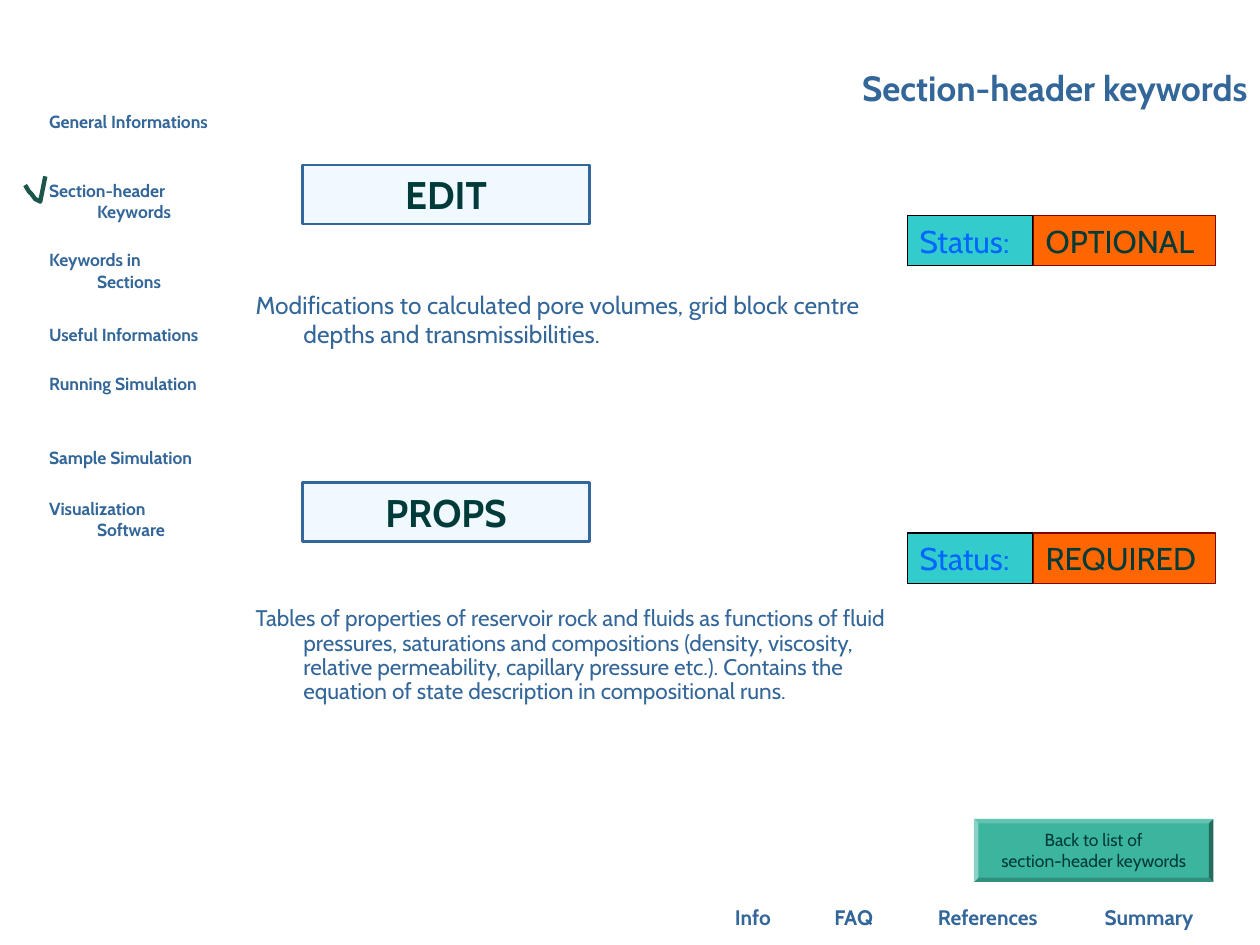
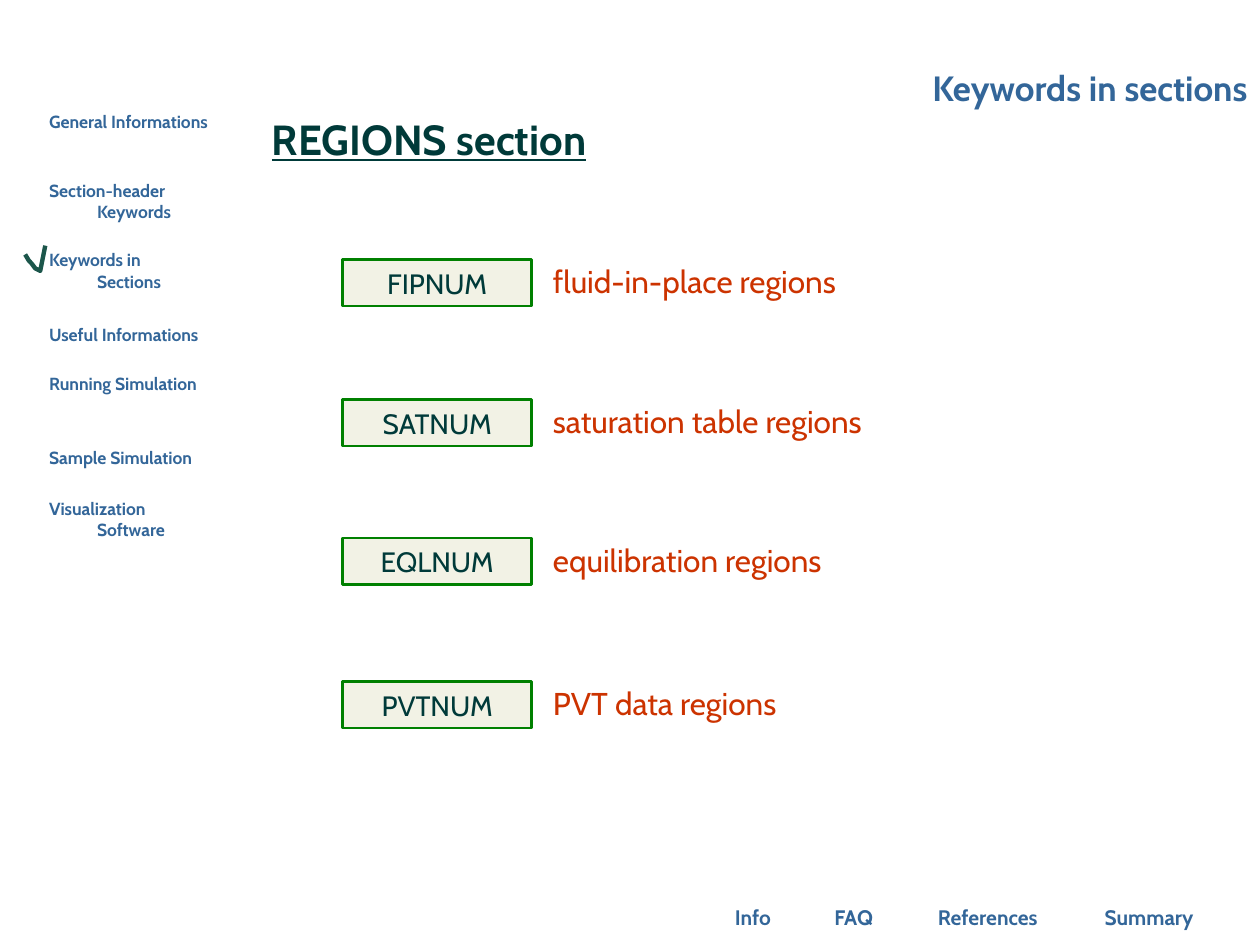
from dataclasses import dataclass

from lxml import etree
from pptx import Presentation
from pptx.dml.color import RGBColor
from pptx.enum.shapes import MSO_SHAPE
from pptx.enum.text import MSO_ANCHOR, PP_ALIGN
from pptx.oxml.ns import qn
from pptx.util import Inches, Pt

COLUMNS, ROWS = 100, 75
CELL = Inches(0.1)


@dataclass(frozen=True)
class Theme:
    font: str = "Cabin"
    blue: str = "336699"
    dark: str = "003A39"
    check: str = "1C564B"
    sky: str = "66CCFF"
    olive: str = "808000"
    green: str = "008000"
    rust: str = "CC3300"
    turquoise: str = "33CCCC"
    status_blue: str = "0066FF"
    orange: str = "FF6600"
    maroon: str = "800000"
    black: str = "000000"
    button: str = "3BB59E"
    small: float = 10
    footer: float = 12
    dense: float = 12.9
    body: float = 14
    label: float = 16
    status: float = 18
    title: float = 20
    keyword: float = 22
    heading: float = 24


THEME = Theme()

SIDEBAR = {
    "General Informations": (8.8, 13, 3.5),
    "Section-header Keywords": (14.3, 12.1, 3.3),
    "Keywords in Sections": (19.8, 12.5, 3.5),
    "Useful Informations": (25.7, 14.6, 2.4),
    "Running Simulation": (29.6, 13.4, 3.5),
    "Sample Simulation": (35.5, 13.4, 2),
    "Visualization Software": (39.5, 12.2, 3.5),
}
FOOTER = [("Info", 56.3, 6.9), ("FAQ", 64.8, 5.9), ("References", 72.7, 11.4), ("Summary", 86.1, 10.2)]
CHECK_OUTLINE = [(3.6, -0.3), (3.2, 1.7), (2.8, 1.5), (2.5, 1.1), (2.3, 0.9), (2, 0.4)]


def grid(*cells):
    return [round(cell * CELL) for cell in cells]


def write(shape, text, size, color, align=PP_ALIGN.LEFT, anchor=MSO_ANCHOR.TOP,
          bold=False, underline=False, hanging=False, spacing=None, inset=True):
    frame = shape.text_frame
    frame.word_wrap = True
    frame.vertical_anchor = anchor
    frame.margin_left = frame.margin_right = Inches(0.1 if inset else 0)
    frame.margin_top = frame.margin_bottom = Inches(0.05 if inset else 0)
    paragraph = frame.paragraphs[0]
    paragraph.text = text
    paragraph.alignment = align
    if spacing:
        paragraph.line_spacing = spacing
    if hanging:
        properties = paragraph._p.get_or_add_pPr()
        properties.set("marL", str(Inches(0.38)))
        properties.set("indent", str(-Inches(0.38)))
    font = paragraph.font
    font.name, font.size = THEME.font, Pt(size)
    font.bold, font.underline = bold, underline
    font.color.rgb = RGBColor.from_string(color)


def add_text(slide, place, text, size, color=THEME.blue, **style):
    write(slide.shapes.add_textbox(*grid(*place)), text, size, color, **style)


def add_box(slide, place, text, size, fill, line=None, width=0.75, opacity=None,
            color=THEME.dark, kind=MSO_SHAPE.RECTANGLE, **style):
    shape = slide.shapes.add_shape(kind, *grid(*place))
    shape.shadow.inherit = False
    shape.fill.solid()
    shape.fill.fore_color.rgb = RGBColor.from_string(fill)
    if opacity:
        color_element = shape._element.spPr.find(qn("a:solidFill"))[0]
        etree.SubElement(color_element, qn("a:alpha")).set("val", str(opacity * 1000))
    if line:
        shape.line.color.rgb = RGBColor.from_string(line)
        shape.line.width = Pt(width)
    else:
        shape.line.fill.background()
    write(shape, text, size, color, **style)
    return shape


def add_check(slide, row):
    points = [grid(column, row + offset) for column, offset in CHECK_OUTLINE]
    builder = slide.shapes.build_freeform(*points[0])
    builder.add_line_segments(points[1:], close=False)
    check = builder.convert_to_shape()
    check.shadow.inherit = False
    check.fill.background()
    check.line.color.rgb = RGBColor.from_string(THEME.check)
    check.line.width = Pt(2.5)


def add_page(presentation, title, current):
    slide = presentation.slides.add_slide(presentation.slide_layouts[6])
    for text, left, width in FOOTER:
        add_text(slide, (left, 71.3, width, 3), text, THEME.footer, bold=True,
                 align=PP_ALIGN.CENTER, anchor=MSO_ANCHOR.BOTTOM)
    for text, (top, width, height) in SIDEBAR.items():
        add_text(slide, (3.9, top, width, height), text, THEME.small,
                 bold=True, hanging=True, inset=False)
    add_text(slide, (19.2, 3.6, COLUMNS - 19.2, 5.5), title, THEME.title, bold=True,
             align=PP_ALIGN.RIGHT, anchor=MSO_ANCHOR.BOTTOM)
    add_check(slide, SIDEBAR[current][0])
    return slide


def add_keyword(slide, top, keyword, status, description, height, size, spacing=None):
    add_box(slide, (24, top, 22.8, 4.7), keyword, THEME.keyword, THEME.sky, THEME.blue,
            width=1.5, opacity=10, bold=True, align=PP_ALIGN.CENTER)
    add_box(slide, (72, top + 4, 10, 4), "Status:", THEME.status, THEME.turquoise,
            THEME.black, color=THEME.status_blue, anchor=MSO_ANCHOR.BOTTOM)
    add_box(slide, (82, top + 4, 14.5, 4), status, THEME.status, THEME.orange,
            THEME.maroon, anchor=MSO_ANCHOR.BOTTOM)
    add_text(slide, (19.3, top + 9.4, 55.1, height), description, size,
             hanging=True, spacing=spacing)


def add_back_button(slide, text):
    button = add_box(slide, (77.3, 65, 19, 5), text, THEME.small, THEME.button,
                     kind=MSO_SHAPE.BEVEL, align=PP_ALIGN.CENTER, anchor=MSO_ANCHOR.MIDDLE)
    button.adjustments[0] = 0.07


def add_region(slide, top, keyword, description):
    add_box(slide, (27.2, top, 15, 3.7), keyword, THEME.label, THEME.olive, THEME.green,
            width=1.5, opacity=10, align=PP_ALIGN.CENTER, anchor=MSO_ANCHOR.BOTTOM)
    add_text(slide, (42.9, top - 0.3, 48, 4), description, THEME.status, THEME.rust,
             anchor=MSO_ANCHOR.BOTTOM)


def build_header_keywords(presentation):
    slide = add_page(presentation, "Section-header keywords", "Section-header Keywords")
    add_keyword(slide, 13.1, "EDIT", "OPTIONAL",
                "Modifications to calculated pore volumes, grid block centre depths "
                "and transmissibilities.", 6.3, THEME.body)
    add_keyword(slide, 38.3, "PROPS", "REQUIRED",
                "Tables of properties of reservoir rock and fluids as functions of fluid "
                "pressures, saturations and compositions (density, viscosity, relative "
                "permeability, capillary pressure etc.). Contains the equation of state "
                "description in compositional runs.", 12.6, THEME.dense, spacing=0.9)
    add_back_button(slide, "Back to list of\vsection-header keywords")


def build_regions(presentation):
    slide = add_page(presentation, "Keywords in sections", "Keywords in Sections")
    add_text(slide, (19.1, 8.5, 29.9, 5), "REGIONS section", THEME.heading, THEME.dark,
             bold=True, underline=True, align=PP_ALIGN.CENTER, anchor=MSO_ANCHOR.MIDDLE)
    for top, keyword, description in [
        (20.6, "FIPNUM", "fluid-in-place regions"),
        (31.7, "SATNUM", "saturation table regions"),
        (42.7, "EQLNUM", "equilibration regions"),
        (54.1, "PVTNUM", "PVT data regions"),
    ]:
        add_region(slide, top, keyword, description)


def main():
    presentation = Presentation()
    presentation.slide_width, presentation.slide_height = grid(COLUMNS, ROWS)
    build_header_keywords(presentation)
    build_regions(presentation)
    presentation.save("out.pptx")


if __name__ == "__main__":
    main()
